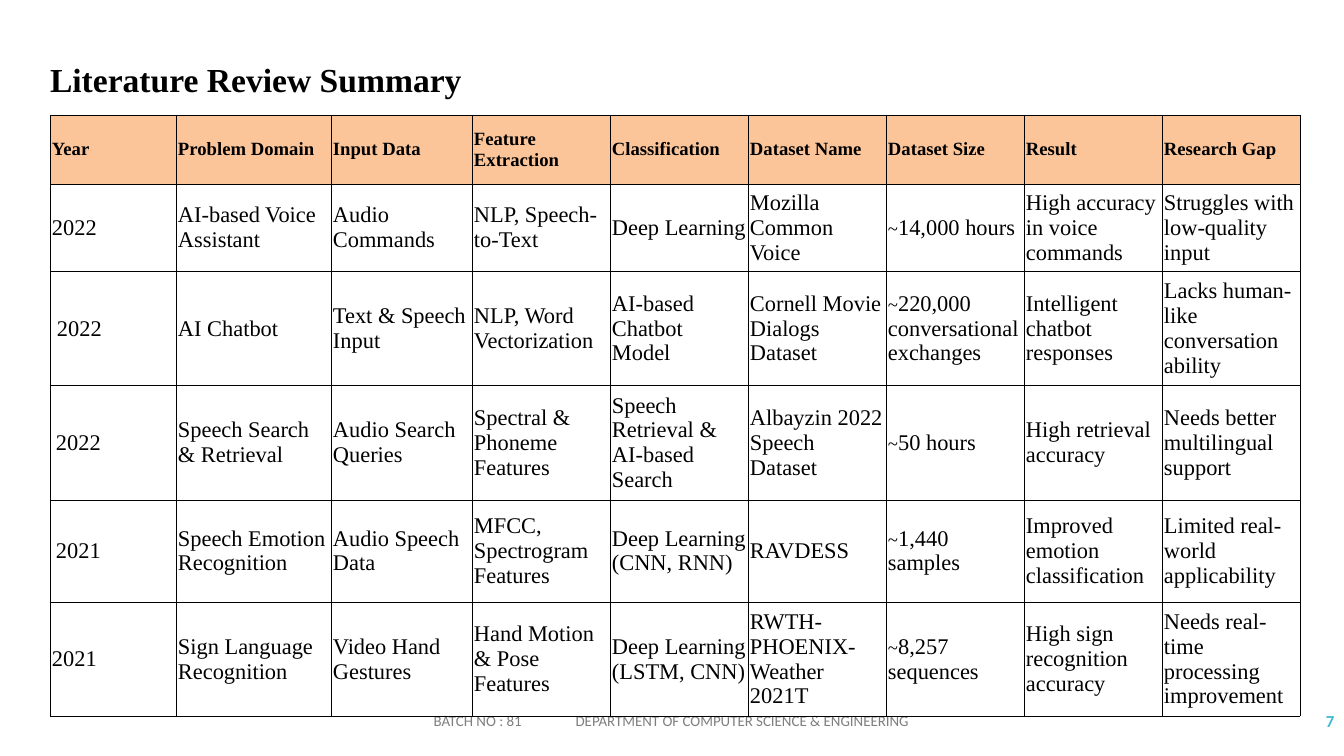
from lxml.etree import SubElement
from pptx import Presentation
from pptx.dml.color import RGBColor
from pptx.enum.text import MSO_ANCHOR as Anchor, MSO_AUTO_SIZE as AutoSize, PP_ALIGN as Align
from pptx.oxml.ns import qn
from pptx.util import Emu, Pt

EMU_PER_PX = 914400 / 67.2
SERIF, SANS = "Times New Roman", "Calibri"
BLACK, GREY, TEAL, PEACH = "000000", "7F7F7F", "40BAD2", "FCC599"

COLUMN_WIDTHS = [126, 155, 141] + [138] * 6
ROW_HEIGHTS = [69, 87, 114, 114, 102, 114]
YEAR_INDENTS = {2: 5, 3: 4, 4: 4}  # by table row

HEADERS = ["Year", "Problem Domain", "Input Data", "Feature Extraction", "Classification",
           "Dataset Name", "Dataset Size", "Result", "Research Gap"]
STUDIES = [
    ["2022", "AI-based Voice Assistant", "Audio Commands", "NLP, Speech-to-Text",
     "Deep Learning", "Mozilla Common Voice", "~14,000 hours",
     "High accuracy in voice commands", "Struggles with low-quality input"],
    ["2022", "AI Chatbot", "Text & Speech Input", "NLP, Word Vectorization",
     "AI-based Chatbot Model", "Cornell Movie Dialogs Dataset",
     "~220,000 conversational exchanges", "Intelligent chatbot responses",
     "Lacks human-like conversation ability"],
    ["2022", "Speech Search & Retrieval", "Audio Search Queries", "Spectral & Phoneme Features",
     "Speech Retrieval & AI-based Search", "Albayzin 2022 Speech Dataset", "~50 hours",
     "High retrieval accuracy", "Needs better multilingual support"],
    ["2021", "Speech Emotion Recognition", "Audio Speech Data", "MFCC, Spectrogram Features",
     "Deep Learning (CNN, RNN)", "RAVDESS", "~1,440 samples",
     "Improved emotion classification", "Limited real-world applicability"],
    ["2021", "Sign Language Recognition", "Video Hand Gestures", "Hand Motion & Pose Features",
     "Deep Learning (LSTM, CNN)", "RWTH-PHOENIX-Weather 2021T", "~8,257 sequences",
     "High sign recognition accuracy", "Needs real-time processing improvement"],
]


def px(length):
    return Emu(round(length * EMU_PER_PX))


def color(hex_string):
    return RGBColor.from_string(hex_string)


def style_font(font, name, size, hex_string, bold=False):
    font.name, font.size, font.bold = name, Pt(size), bold
    font.color.rgb = color(hex_string)


def add_title(slide, text):
    title = slide.shapes.title
    title.left, title.top, title.width, title.height = px(50), px(59), px(919), px(40)
    frame = title.text_frame
    frame.text = text
    frame.margin_left = frame.margin_top = frame.margin_right = frame.margin_bottom = 0
    frame.vertical_anchor = Anchor.TOP
    frame.auto_size = AutoSize.SHAPE_TO_FIT_TEXT
    paragraph = frame.paragraphs[0]
    paragraph.alignment = Align.LEFT
    paragraph.line_spacing = 1.0
    style_font(paragraph.runs[0].font, SERIF, 36, BLACK, bold=True)


def add_footer_text(slide, left, width, text, size, hex_string, bold=False,
                    alignment=Align.LEFT, tab=None):
    box = slide.shapes.add_textbox(px(left), px(701), px(width), px(40))
    frame = box.text_frame
    frame.text = text
    frame.word_wrap = True
    frame.vertical_anchor = Anchor.MIDDLE
    paragraph = frame.paragraphs[0]
    paragraph.alignment = alignment
    if tab:
        tab_list = SubElement(paragraph._p.get_or_add_pPr(), qn("a:tabLst"))
        SubElement(tab_list, qn("a:tab"), pos=str(px(tab)), algn="l")
    style_font(paragraph.runs[0].font, SANS, size, hex_string, bold)


def set_borders(cell):
    properties = cell._tc.get_or_add_tcPr()
    for position, side in enumerate(("lnL", "lnR", "lnT", "lnB")):
        line = SubElement(properties, qn(f"a:{side}"), w=str(Pt(0.45)))
        fill = SubElement(line, qn("a:solidFill"))
        SubElement(fill, qn("a:srgbClr"), val=BLACK)
        properties.insert(position, line)  # borders come before the fill


def fill_cell(cell, text, is_header, indent=0):
    cell.margin_left, cell.margin_right = px(2 + indent), px(2)
    cell.vertical_anchor = Anchor.MIDDLE
    if is_header:
        cell.fill.solid()
        cell.fill.fore_color.rgb = color(PEACH)
    else:
        cell.fill.background()
    set_borders(cell)

    # The approximation sign is smaller than the number after it
    paragraph = cell.text_frame.paragraphs[0]
    size = 20 if is_header else 24
    if text.startswith("~"):
        sign = paragraph.add_run()
        sign.text = "~"
        style_font(sign.font, SERIF, 20, BLACK)
    run = paragraph.add_run()
    run.text = text.removeprefix("~")
    style_font(run.font, SERIF, size, BLACK, bold=is_header)


def add_review_table(slide):
    rows = [HEADERS] + STUDIES
    frame = slide.shapes.add_table(len(rows), len(HEADERS), px(50), px(115),
                                   px(sum(COLUMN_WIDTHS)), px(sum(ROW_HEIGHTS)))
    table = frame.table
    table.horz_banding = False
    for column, width in zip(table.columns, COLUMN_WIDTHS):
        column.width = px(width)
    for row, height in zip(table.rows, ROW_HEIGHTS):
        row.height = px(height)
    for row_index, texts in enumerate(rows):
        for column_index, text in enumerate(texts):
            indent = YEAR_INDENTS.get(row_index, 0) if column_index == 0 else 0
            fill_cell(table.cell(row_index, column_index), text, row_index == 0, indent)


def main():
    presentation = Presentation()
    presentation.slide_width, presentation.slide_height = px(1344), px(756)
    slide = presentation.slides.add_slide(presentation.slide_layouts[5])

    # Title
    add_title(slide, "Literature Review Summary")

    # Slide number and footer
    add_footer_text(slide, 1172, 169, "7", 18, TEAL, bold=True, alignment=Align.RIGHT)
    add_footer_text(slide, 427, 652,
                    "BATCH NO : 81\tDEPARTMENT OF COMPUTER SCIENCE & ENGINEERING",
                    16, GREY, tab=142)

    # Literature table
    add_review_table(slide)

    presentation.save("out.pptx")


if __name__ == "__main__":
    main()
